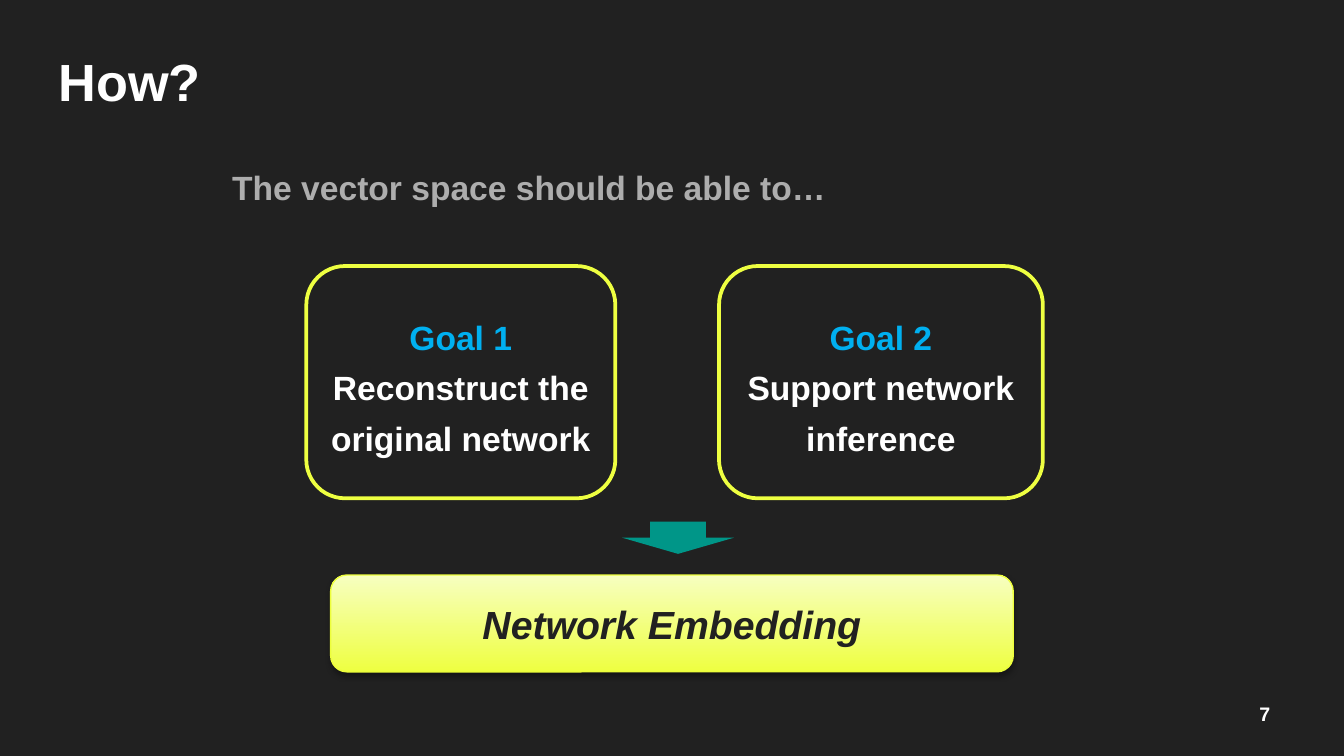
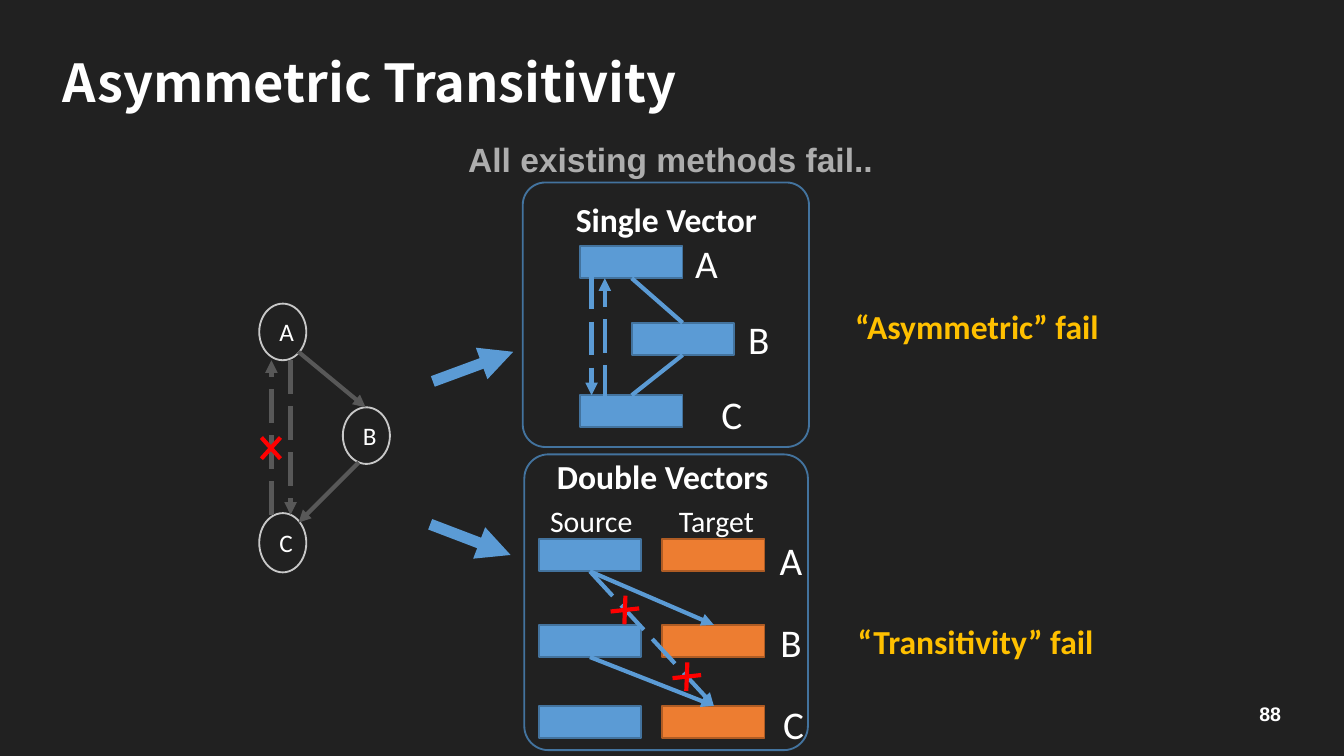
from lxml.etree import SubElement
from pptx import Presentation
from pptx.dml.color import RGBColor
from pptx.enum.dml import MSO_LINE
from pptx.enum.shapes import MSO_CONNECTOR, MSO_SHAPE as Preset
from pptx.enum.text import MSO_ANCHOR as Anchor, PP_ALIGN as Align
from pptx.oxml.ns import qn
from pptx.util import Cm, Pt

COLORS = {
    "background": "212121", "white": "FFFFFF", "subtitle": "ADADAD",
    "goal": "00B0F0", "yellow": "EEFF41", "pale": "F7FFC0", "rim": "EDFE3B",
    "teal": "009688", "node": "C8C8C8", "edge": "585858",
    "blue": "5B9BD5", "blue_rim": "43739E",
    "orange": "ED7D31", "orange_rim": "AF5C24",
    "red": "FF0000", "gold": "FFC000",
}
RGB = {name: RGBColor.from_string(value) for name, value in COLORS.items()}

STYLES = {
    "title": dict(size=Pt(28), name="Arial", bold=True),
    "wide_title": dict(size=Pt(28), name="Noto Sans CJK SC", bold=True),
    "number": dict(size=Pt(10.5), name="Arial", bold=True),
    "subtitle": dict(size=Pt(18), name="Arial", bold=True),
    "result": dict(size=Pt(21), name="Arial", bold=True, italic=True),
    "heading": dict(size=Pt(18), name="Calibri", bold=True),
    "column": dict(size=Pt(16), name="Calibri"),
    "letter": dict(size=Pt(21), name="Calibri"),
    "node": dict(size=Pt(13.5), name="Calibri"),
}


def add_box(slide, at, lines=(), style=None, preset=None, fill=None, rim=None,
            width=1, align=Align.CENTER, anchor=None, margin=0.13, spacing=None):
    """Add a preset shape, or a text box without one; lines are (text, color)."""
    place = [Cm(value) for value in at]
    if preset is None:
        shape = slide.shapes.add_textbox(*place)
    else:
        shape = slide.shapes.add_shape(preset, *place)
        shape.shadow.inherit = False
        if fill:
            shape.fill.solid()
            shape.fill.fore_color.rgb = RGB[fill]
        else:
            shape.fill.background()
        if rim:
            shape.line.color.rgb = RGB[rim]
            shape.line.width = Pt(width)
        else:
            shape.line.fill.background()
    frame = shape.text_frame
    frame.word_wrap = True
    frame.vertical_anchor = anchor or (Anchor.MIDDLE if preset else Anchor.TOP)
    frame.margin_top = frame.margin_bottom = Cm(margin)
    for index, (text, color) in enumerate(lines):
        paragraph = frame.add_paragraph() if index else frame.paragraphs[0]
        paragraph.alignment = align
        paragraph.line_spacing = spacing
        run = paragraph.add_run()
        run.text = text
        for attribute, value in STYLES[style].items():
            setattr(run.font, attribute, value)
        run.font.color.rgb = RGB[color]
    return shape


def add_line(slide, ends, color, width=2.25, arrow=False, dashed=False):
    connector = slide.shapes.add_connector(
        MSO_CONNECTOR.STRAIGHT, *[Cm(value) for value in ends])
    connector.line.color.rgb = RGB[color]
    connector.line.width = Pt(width)
    if dashed:
        connector.line.dash_style = MSO_LINE.LONG_DASH
    properties = connector._element.spPr
    if arrow:
        SubElement(properties.find(qn("a:ln")), qn("a:tailEnd"), type="triangle")
    SubElement(properties, qn("a:effectLst"))


presentation = Presentation()
presentation.slide_width = Cm(25.4)
presentation.slide_height = Cm(14.29)

# Background, page number, title and subtitle of both slides
pages = [
    ("7", "How?", "title", (0.86, 0.69, 23.67, 1.6),
     dict(margin=0.25),
     "The vector space should be able to…", (4.14, 3.02, 13.54, 1.02), Align.LEFT),
    ("88", "Asymmetric Transitivity", "wide_title", (0.94, 0.23, 19.05, 2.77),
     dict(margin=0.1, anchor=Anchor.MIDDLE, spacing=0.9),
     "All existing methods fail..", (3.99, 2.49, 17.37, 1.02), Align.CENTER),
]
slides = []
for number, title, title_style, title_at, options, subtitle, subtitle_at, align in pages:
    slide = presentation.slides.add_slide(presentation.slide_layouts[6])
    slide.background.fill.solid()
    slide.background.fill.fore_color.rgb = RGB["background"]
    add_box(slide, (23.55, 12.95, 1.52, 1.09), [(number, "white")], "number",
            align=Align.LEFT, anchor=Anchor.MIDDLE, margin=0.25)
    add_box(slide, title_at, [(title, "white")], title_style, align=Align.LEFT, **options)
    add_box(slide, subtitle_at, [(subtitle, "subtitle")], "subtitle", align=align)
    slides.append(slide)
goals_slide, transitivity_slide = slides

# Goals leading to network embedding
for left, width, goal, text in [
    (5.79, 5.84, "Goal 1", "Reconstruct the original network"),
    (13.59, 6.12, "Goal 2", "Support network inference"),
]:
    add_box(goals_slide, (left, 5.03, width, 4.39), [(goal, "goal"), (text, "white")],
            "subtitle", Preset.ROUNDED_RECTANGLE, "background", "yellow", 2, spacing=1.25)
add_box(goals_slide, (11.76, 9.86, 2.11, 0.61), preset=Preset.DOWN_ARROW, fill="teal")

result = add_box(goals_slide, (6.25, 10.87, 12.9, 1.83),
                 [("Network Embedding", "background")], "result",
                 Preset.ROUNDED_RECTANGLE, "yellow", "rim", 0.75)
result.fill.gradient()
result.fill.gradient_angle = 90
for stop, position, color in zip(result.fill.gradient_stops, (0, 1), ("yellow", "pale")):
    stop.position = position
    stop.color.rgb = RGB[color]
effects = result._element.spPr.find(qn("a:effectLst"))
shadow = SubElement(effects, qn("a:outerShdw"), blurRad=str(Pt(3.1)), dist=str(Pt(1.8)),
                    dir="5400000", rotWithShape="0")
shadow_color = SubElement(shadow, qn("a:srgbClr"), val="000000")
SubElement(shadow_color, qn("a:alpha"), val="35000")

# Directed graph
slide = transitivity_slide
for name, left, top, height in [("A", 4.9, 5.74, 1.07), ("B", 6.48, 7.7, 1.07),
                                ("C", 4.9, 9.7, 1.12)]:
    add_box(slide, (left, top, 0.89, height), [(name, "white")], "node",
            Preset.OVAL, rim="node")
for ends, dashed in [
    ((5.64, 6.65, 6.91, 7.7), False), ((6.78, 8.74, 5.64, 9.88), False),
    ((5.49, 6.81, 5.49, 9.73), True), ((5.13, 9.73, 5.13, 6.81), True),
]:
    add_line(slide, ends, "edge", arrow=True, dashed=dashed)
for ends in [(8.18, 7.21, 9.7, 6.65), (8.13, 9.91, 9.65, 10.49)]:
    add_line(slide, ends, "blue", 6, arrow=True)

# Panels with their headings and verdicts
for at, heading, heading_at, verdict, verdict_at in [
    ((9.88, 3.45, 5.41, 5), "Single Vector", (10.08, 3.63, 5.03, 1.02),
     "“Asymmetric” fail", (15.52, 5.66, 5.89, 1.02)),
    ((9.91, 8.59, 5.36, 5.59), "Double Vectors", (10.01, 8.48, 5.03, 1.02),
     "“Transitivity” fail", (15.47, 11.61, 5.94, 1.02)),
]:
    panel = add_box(slide, at, preset=Preset.ROUNDED_RECTANGLE, rim="blue_rim")
    panel.adjustments[0] = 0.085
    add_box(slide, heading_at, [(heading, "white")], "heading")
    add_box(slide, verdict_at, [(verdict, "gold")], "heading")
for name, left, width in [("Source", 9.7, 2.95), ("Target", 11.84, 3.4)]:
    add_box(slide, (left, 9.37, width, 0.94), [(name, "white")], "column")

# Vectors
single_vectors = [(10.97, 4.65, "blue"), (11.94, 6.1, "blue"), (10.97, 7.47, "blue")]
double_vectors = [(left, top, color) for top in (10.19, 11.81, 13.34)
                  for left, color in ((10.19, "blue"), (12.52, "orange"))]
for left, top, color in single_vectors + double_vectors:
    add_box(slide, (left, top, 1.93, 0.61), preset=Preset.RECTANGLE,
            fill=color, rim=color + "_rim")
for name, left, top in [
    ("A", 12.88, 4.39), ("B", 13.87, 5.84), ("C", 13.36, 7.24),
    ("A", 14.48, 10.01), ("B", 14.48, 11.56), ("C", 14.53, 13.11),
]:
    add_box(slide, (left, top, 0.94, 1.14), [(name, "white")], "letter")

# Relations between vectors
for ends, arrow, dashed in [
    ((11.94, 5.26, 12.9, 6.1), False, False),
    ((12.9, 6.71, 11.94, 7.47), False, False),
    ((11.18, 5.21, 11.18, 7.47), True, True),
    ((11.43, 7.54, 11.43, 5.26), True, True),
    ((11.15, 10.8, 13.49, 11.81), True, False),
    ((11.15, 12.42, 13.49, 13.34), True, False),
    ((11.15, 10.8, 13.49, 13.34), True, True),
]:
    add_line(slide, ends, "blue", arrow=arrow, dashed=dashed)

# Red crosses: center, then half extents of both strokes
diagonal = [(-0.18, -0.2, 0.18, 0.2), (0.18, -0.2, -0.18, 0.2)]
upright = [(0.01, -0.27, -0.01, 0.27), (0.27, -0.03, -0.27, 0.03)]
for x, y, strokes in [(5.12, 8.47, diagonal), (11.81, 11.53, upright),
                      (12.98, 12.79, upright)]:
    for x1, y1, x2, y2 in strokes:
        add_line(slide, (x + x1, y + y1, x + x2, y + y2), "red")

presentation.save("out.pptx")
